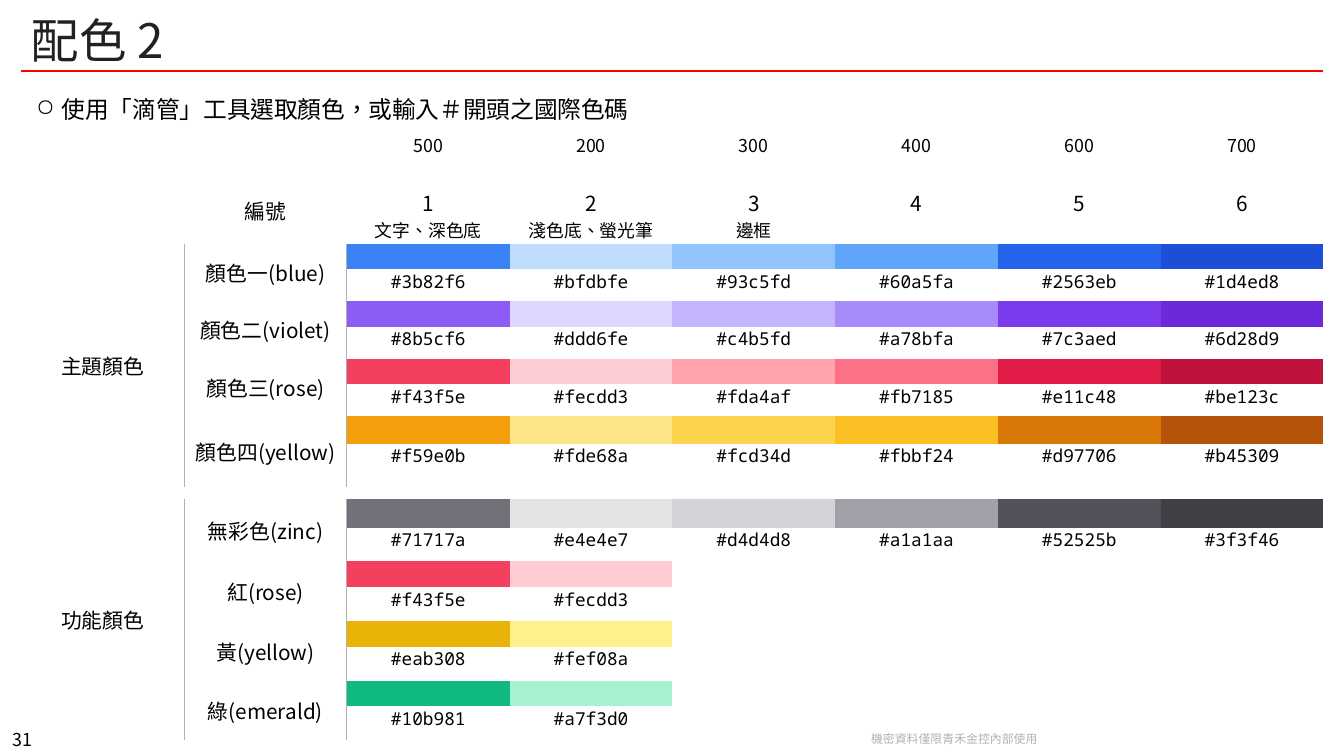
from lxml import etree
from pptx import Presentation
from pptx import util as u
from pptx.dml import color
from pptx.enum import shapes, text
from pptx.oxml import ns

SANS, MONO, FOOT = "Noto Sans CJK TC", "Noto Sans Mono", "Noto Sans CJK SC"
PLAIN = "{2D5ABB26-0587-4C30-8999-92F81FD0307C}"
MID, TOP, LOW = text.MSO_ANCHOR.MIDDLE, text.MSO_ANCHOR.TOP, text.MSO_ANCHOR.BOTTOM
LEFT, MIDST = text.PP_ALIGN.LEFT, text.PP_ALIGN.CENTER
WIDE, COLS = 31, 8
HEAD = [("1", "文字、深色底"), ("2", "淺色底、螢光筆"), ("3", "邊框"), ("4",), ("5",), ("6",)]
TONES = ["500", "200", "300", "400", "600", "700"]
GROUPS = [
    ("主題顏色", [
        ("顏色一(blue)", 0.61, 0.76, "3b82f6 bfdbfe 93c5fd 60a5fa 2563eb 1d4ed8"),
        ("顏色二(violet)", 0.61, 0.76, "8b5cf6 ddd6fe c4b5fd a78bfa 7c3aed 6d28d9"),
        ("顏色三(rose)", 0.61, 0.76, "f43f5e fecdd3 fda4af fb7185 e11c48 be123c"),
        ("顏色四(yellow)", 0.66, 1.03, "f59e0b fde68a fcd34d fbbf24 d97706 b45309")]),
    ("功能顏色", [
        ("無彩色(zinc)", 0.69, 0.8, "71717a e4e4e7 d4d4d8 a1a1aa 52525b 3f3f46"),
        ("紅(rose)", 0.61, 0.81, "f43f5e fecdd3"),
        ("黃(yellow)", 0.61, 0.81, "eab308 fef08a"),
        ("綠(emerald)", 0.61, 0.81, "10b981 a7f3d0")]),
]


def rgb(code):
    """Turn a hex string into a colour."""
    return color.RGBColor.from_string(code.upper())


def sub(node, tag, **attrs):
    """Append a DrawingML child."""
    return etree.SubElement(node, ns.qn(tag), attrs)


def put(item, form):
    """Set attributes from a dict."""
    for key, value in form.items():
        setattr(item, key, value)


def write(par, words, size, face=SANS, tint="000000", align=MIDST):
    """Write one styled run."""
    par.alignment = align
    run = par.add_run()
    run.text = words
    put(run.font, {"size": u.Pt(size), "name": face})
    run.font.color.rgb = rgb(tint)
    props = run._r.get_or_add_rPr()
    props.set("lang", "zh-TW")
    sub(props, "a:ea", typeface=face)


def label(slide, spot, words, size, anchor=MID, pad=0.13, wrap=True, **style):
    """Add a text box and return its paragraph."""
    frame = slide.shapes.add_textbox(*map(u.Cm, spot)).text_frame
    put(frame, {"word_wrap": wrap, "vertical_anchor": anchor,
                "margin_left": u.Cm(0.25), "margin_right": u.Cm(0.25),
                "margin_top": u.Cm(pad), "margin_bottom": u.Cm(pad)})
    par = frame.paragraphs[0]
    write(par, words, size, **style)
    return par


def bullet(par):
    """Give a paragraph a hanging ring bullet."""
    par.space_before = u.Pt(6)
    props = par._p.get_or_add_pPr()
    put_at = {"marL": u.Cm(0.71), "indent": u.Cm(-0.61)}
    for key, value in put_at.items():
        props.set(key, str(int(value)))
    sub(sub(props, "a:buClr"), "a:srgbClr", val="000000")
    sub(props, "a:buChar", char="○")


def rule(slide):
    """Draw the red line below the title."""
    line = slide.shapes.add_connector(
        shapes.MSO_CONNECTOR.STRAIGHT, *map(u.Cm, (0.51, 1.7, 31.5, 1.7)))
    line.line.color.rgb = rgb("FF0000")
    line.line.width = u.Pt(1.25)
    sub(line._element.spPr, "a:effectLst")


def clear(cell):
    """Make a cell empty, plain and able to be low."""
    cell.fill.background()
    put(cell, {"margin_top": 0, "margin_bottom": 0})
    sub(cell.text_frame.paragraphs[0]._p, "a:endParaRPr", sz="100")


def fill(cell, lines, anchor=TOP, top=0.25, low=0, face=SANS):
    """Write (words, size) lines in a cell."""
    put(cell, {"vertical_anchor": anchor, "margin_left": u.Cm(0.25), "margin_right": u.Cm(0.25),
               "margin_top": u.Cm(top), "margin_bottom": u.Cm(low)})
    frame = cell.text_frame
    for spot, (words, size) in enumerate(lines):
        par = frame.add_paragraph() if spot else frame.paragraphs[0]
        for end in par._p.findall(ns.qn("a:endParaRPr")):
            par._p.remove(end)
        write(par, words, size, face)


def edge(cell, side):
    """Draw a thin grey border on one side of a cell."""
    props = cell._tc.get_or_add_tcPr()
    line = sub(props, side, w=str(int(u.Pt(0.75))))
    sub(sub(line, "a:solidFill"), "a:srgbClr", val="B2B2B2")
    props.insert(0, line)


def band(grid, row, name, codes):
    """Fill one colour row and its code row."""
    grid.cell(row, 1).merge(grid.cell(row + 1, 1))
    fill(grid.cell(row, 1), [(name, 14)], MID, low=0.25)
    for col, code in enumerate(codes.split(), 2):
        swatch = grid.cell(row, col)
        swatch.fill.solid()
        swatch.fill.fore_color.rgb = rgb(code)
        fill(grid.cell(row + 1, col), [("#" + code, 12)], top=0, face=MONO)


def chart(slide):
    """Build the colour table."""
    pairs = [[high for item in items for high in item[1:3]] for _, items in GROUPS]
    highs = [1.3, 1.6, *pairs[0], 0.28, *pairs[1]]
    frame = slide.shapes.add_table(len(highs), COLS, *map(u.Cm, (0.51, 2.9, WIDE, sum(highs))))
    grid = frame.table
    put(grid, {"first_row": False, "horz_banding": False})
    grid._tbl.tblPr.find(ns.qn("a:tableStyleId")).text = PLAIN
    for col in grid.columns:
        col.width = u.Cm(WIDE / COLS)
    for row, high in zip(grid.rows, highs):
        row.height = u.Cm(high)
        for cell in row.cells:
            clear(cell)
    fill(grid.cell(1, 1), [("編號", 14)], MID, low=0.25)
    for col, (tone, head) in enumerate(zip(TONES, HEAD), 2):
        fill(grid.cell(0, col), [(tone, 12)])
        fill(grid.cell(1, col), list(zip(head, (14, 12))))
    row = 2
    for title, items in GROUPS:
        last = row + 2 * len(items)
        grid.cell(row, 0).merge(grid.cell(last - 1, 0))
        fill(grid.cell(row, 0), [(title, 14)], MID, low=0.25)
        for spot in range(row, last):
            edge(grid.cell(spot, 0), "a:lnR")
            edge(grid.cell(spot, 1), "a:lnL")
        for step, (name, _, _, codes) in enumerate(items):
            band(grid, row + 2 * step, name, codes)
        row = last + 1


def main():
    """Build and save the slide."""
    deck = Presentation()
    put(deck, {"slide_width": u.Cm(32), "slide_height": u.Cm(18)})
    slide = deck.slides.add_slide(deck.slide_layouts[6])
    page = label(slide, (0, 17.32, 1.07, 0.66), "31", 12, LOW, wrap=False)
    page.line_spacing = 0.83
    note = label(slide, (20.45, 17.3, 4.55, 0.58), "機密資料僅限青禾金控內部使用", 8,
                 face=FOOT, tint="B2B2B2")
    note.line_spacing = u.Pt(9.6)
    rule(slide)
    label(slide, (0.51, 0.2, WIDE, 1.5), "配色 2", 32, tint="212121", align=LEFT)
    bullet(label(slide, (0.51, 2, WIDE, 1.42), "使用「滴管」工具選取顏色，或輸入＃開頭之國際色碼",
                 16, TOP, 0.25, align=LEFT))
    chart(slide)
    deck.save("out.pptx")


if __name__ == "__main__":
    main()
